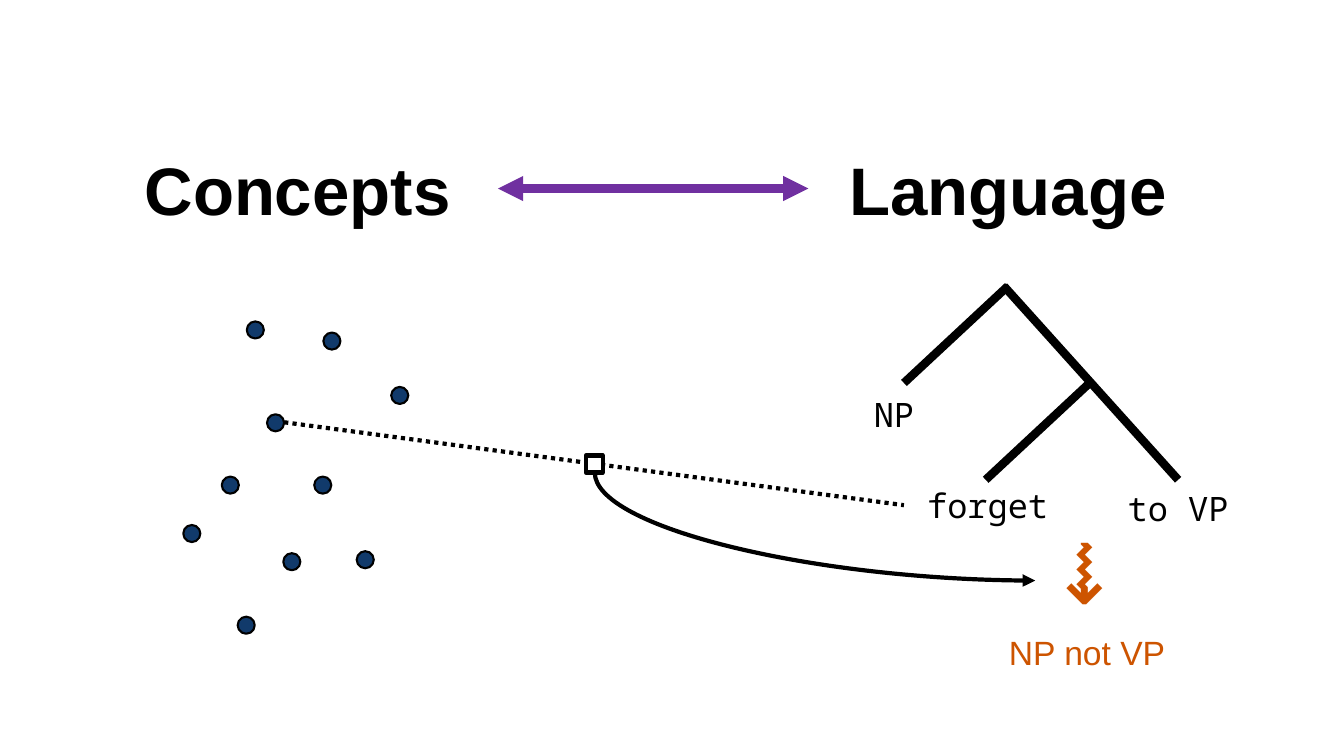
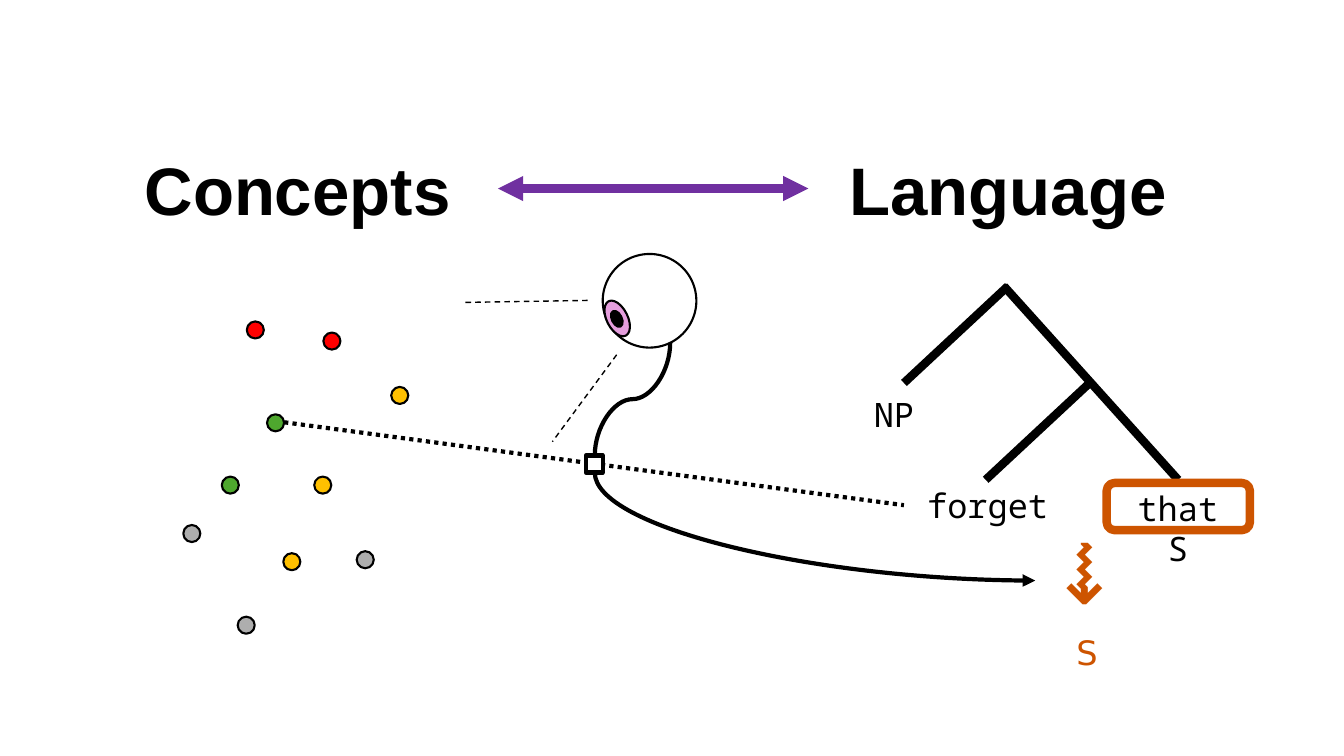
from lxml.etree import SubElement
from pptx import Presentation
from pptx.dml.color import RGBColor
from pptx.enum.dml import MSO_LINE
from pptx.enum.shapes import MSO_CONNECTOR, MSO_SHAPE
from pptx.enum.text import MSO_AUTO_SIZE, PP_ALIGN
from pptx.oxml.ns import qn
from pptx.util import Cm, Pt

COLOURS = {
    "ink": "000000",
    "paper": "FFFFFF",
    "bridge": "7030A0",
    "accent": "CD5400",
    "navy": "113A6B",
    "green": "4EA72E",
    "amber": "FFC000",
    "red": "FF0000",
    "grey": "AEAEAE",
    "iris": "E59EDD",
}
FONTS = {
    "heading": {"name": "Arial", "size": Pt(48), "bold": True},
    "word": {"name": "Noto Sans Mono", "size": Pt(24)},
    "phrase": {"name": "Arial", "size": Pt(24)},
    "symbol": {"name": "DejaVu Sans", "size": Pt(24)},
    "squiggle": {"name": "Noto Sans Mono", "size": Pt(60)},
}
DOT_SIZE = 0.43
LINE_HEIGHT = 1.27
WORD_WIDTH = 4.22
EYE_TILT = 333.5

CONCEPTS = [
    (6.22, 8.1, "red"),
    (8.15, 8.38, "red"),
    (6.73, 10.44, "green"),
    (7.92, 12.01, "amber"),
    (5.59, 12.01, "green"),
    (9.86, 9.75, "amber"),
    (7.14, 13.94, "amber"),
    (8.99, 13.89, "grey"),
    (5.99, 15.54, "grey"),
    (4.62, 13.23, "grey"),
]
BRANCHES = [
    ((25.4, 7.21), (22.78, 9.65)),
    ((27.46, 9.65), (24.84, 12.09)),
    ((25.3, 7.21), (29.69, 12.09)),
]
SIGHT_LINES = [
    ((14.81, 7.57), (11.71, 7.62)),
    ((15.54, 8.94), (13.92, 11.13)),
]


def colour(name):
    return RGBColor.from_string(COLOURS[name])


class Diagram:
    def __init__(self, deck):
        self.deck = deck
        self.slide = None

    def new_slide(self):
        self.slide = self.deck.slides.add_slide(self.deck.slide_layouts[6])

    def text(self, wording, left, top, width, height, font, ink="ink",
             rotation=0, align=PP_ALIGN.CENTER, wrap=True):
        box = self.slide.shapes.add_textbox(Cm(left), Cm(top), Cm(width), Cm(height))
        box.rotation = rotation
        frame = box.text_frame
        frame.word_wrap = wrap
        frame.auto_size = MSO_AUTO_SIZE.SHAPE_TO_FIT_TEXT
        paragraph = frame.paragraphs[0]
        paragraph.alignment = align
        run = paragraph.add_run()
        run.text = wording
        for attribute, value in FONTS[font].items():
            setattr(run.font, attribute, value)
        run.font.color.rgb = colour(ink)

    def word(self, wording, left, top, width=WORD_WIDTH):
        self.text(wording, left, top, width, LINE_HEIGHT, "word")

    def shape(self, kind, left, top, width, height, fill=None, line="ink",
              weight=1.5, rotation=0):
        outline = self.slide.shapes.add_shape(
            kind, Cm(left), Cm(top), Cm(width), Cm(height))
        outline.shadow.inherit = False
        outline.rotation = rotation
        if fill:
            outline.fill.solid()
            outline.fill.fore_color.rgb = colour(fill)
        else:
            outline.fill.background()
        outline.line.color.rgb = colour(line)
        outline.line.width = Pt(weight)

    def line(self, start, end, ink="ink", weight=3, dash=None, ends=(),
             kind=MSO_CONNECTOR.STRAIGHT):
        link = self.slide.shapes.add_connector(
            kind, *(Cm(length) for length in (*start, *end)))
        link.line.color.rgb = colour(ink)
        link.line.width = Pt(weight)
        if dash:
            link.line.dash_style = dash
        properties = link._element.spPr
        for end_tag in ends:
            SubElement(properties.find(qn("a:ln")), qn(end_tag), type="triangle")
        SubElement(properties, qn("a:effectLst"))
        return properties

    def curve(self, start, end, preset, turn, ends=()):
        (x1, y1), (x2, y2) = start, end
        middle_x, middle_y = (x1 + x2) / 2, (y1 + y2) / 2
        half_width, half_height = abs(y2 - y1) / 2, abs(x2 - x1) / 2
        properties = self.line(
            (middle_x - half_width, middle_y - half_height),
            (middle_x + half_width, middle_y + half_height),
            ends=ends, kind=MSO_CONNECTOR.CURVE)
        properties.find(qn("a:prstGeom")).set("prst", preset)
        for attribute, value in turn.items():
            properties.find(qn("a:xfrm")).set(attribute, value)

    def mapping(self, concept_colours, outcome, outcome_font):
        for branch in BRANCHES:
            self.line(*branch, weight=6)
        for heading, left in (("Concepts", 2.46), ("Language", 20.37)):
            self.text(heading, left, 3.61, 10.08, 2.31, "heading")
        self.line((12.55, 4.75), (20.37, 4.75), "bridge", 6,
                  ends=("a:headEnd", "a:tailEnd"))
        self.word("NP", 20.42, 9.8)
        self.word("forget", 22.78, 12.09)
        for (left, top, _), fill in zip(CONCEPTS, concept_colours):
            self.shape(MSO_SHAPE.OVAL, left, top, DOT_SIZE, DOT_SIZE, fill)
        self.line((7.16, 10.64), (22.78, 12.73), dash=MSO_LINE.ROUND_DOT)
        self.text("⇝", 26.19, 13.21, 2.62, 2.82, "squiggle", "accent",
                  rotation=90, align=PP_ALIGN.LEFT, wrap=False)
        self.text(outcome, 22.15, 15.8, 10.49, LINE_HEIGHT, outcome_font, "accent")
        self.curve((14.99, 11.91), (26.09, 14.63), "curvedConnector2",
                   {"rot": "16200000", "flipH": "1"}, ("a:tailEnd",))
        self.shape(MSO_SHAPE.RECTANGLE, 14.76, 11.48, DOT_SIZE, DOT_SIZE,
                   "paper", weight=3)

    def eye(self):
        for left, top, width, height, fill in (
            (15.19, 6.4, 2.36, 2.36, "paper"),
            (15.29, 7.54, 0.53, 0.97, "iris"),
            (15.42, 7.82, 0.25, 0.43, "ink"),
        ):
            self.shape(MSO_SHAPE.OVAL, left, top, width, height, fill,
                       rotation=EYE_TILT)
        for sight_line in SIGHT_LINES:
            self.line(*sight_line, weight=1, dash=MSO_LINE.DASH)
        self.curve((14.99, 11.48), (16.89, 8.64), "curvedConnector3",
                   {"rot": "5400000", "flipH": "1", "flipV": "1"})


def main():
    deck = Presentation()
    deck.slide_width, deck.slide_height = Cm(33.87), Cm(19.05)
    diagram = Diagram(deck)

    diagram.new_slide()
    diagram.mapping(["navy"] * len(CONCEPTS), "NP not VP", "phrase")
    diagram.word("to VP", 27.58, 12.17)

    diagram.new_slide()
    diagram.mapping([fill for _, _, fill in CONCEPTS], "S", "symbol")
    diagram.word("that S", 28.02, 12.17, 3.33)
    diagram.shape(MSO_SHAPE.ROUNDED_RECTANGLE, 27.89, 12.17, 3.61, 1.19,
                  line="accent", weight=6)
    diagram.eye()

    deck.save("out.pptx")


if __name__ == "__main__":
    main()
